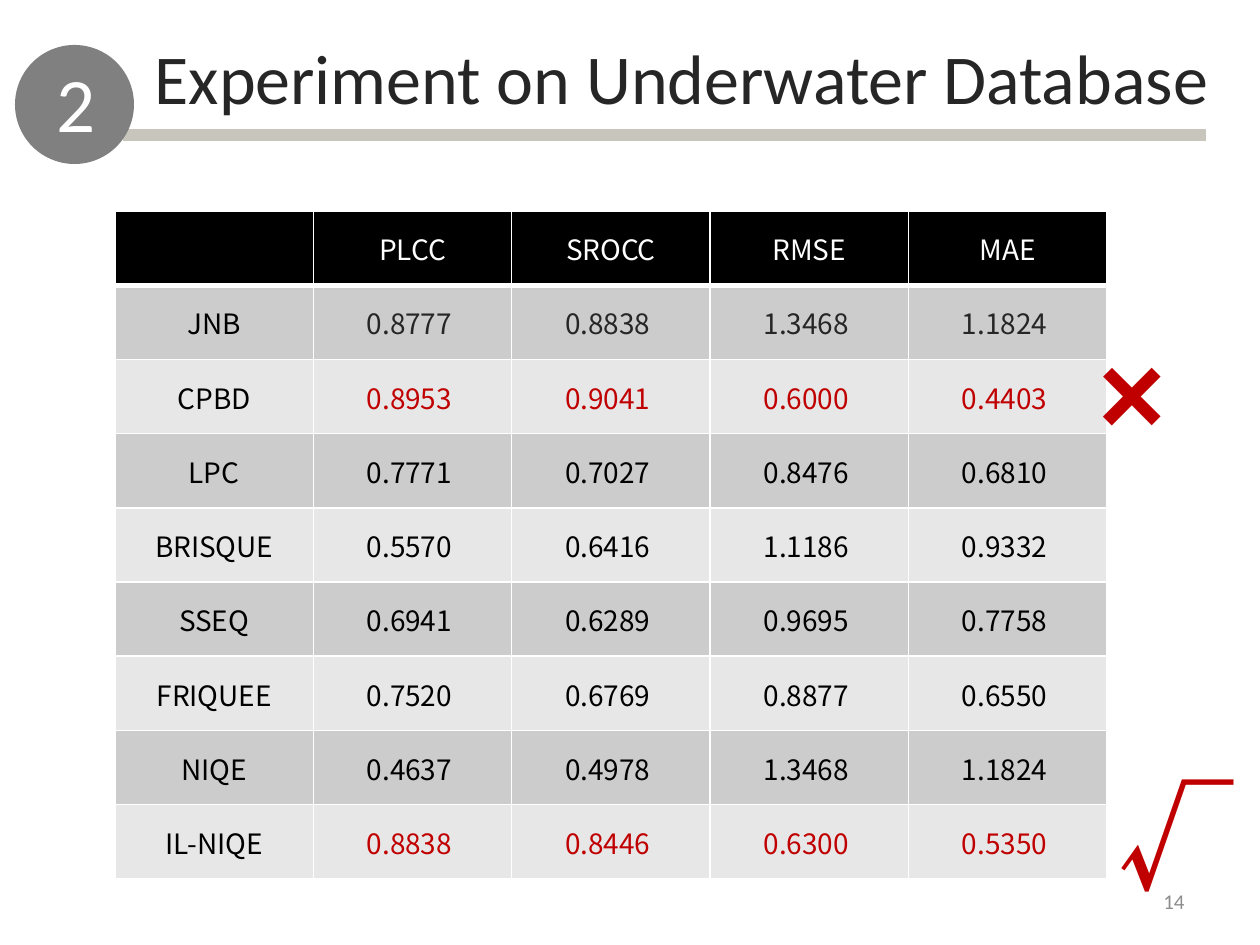
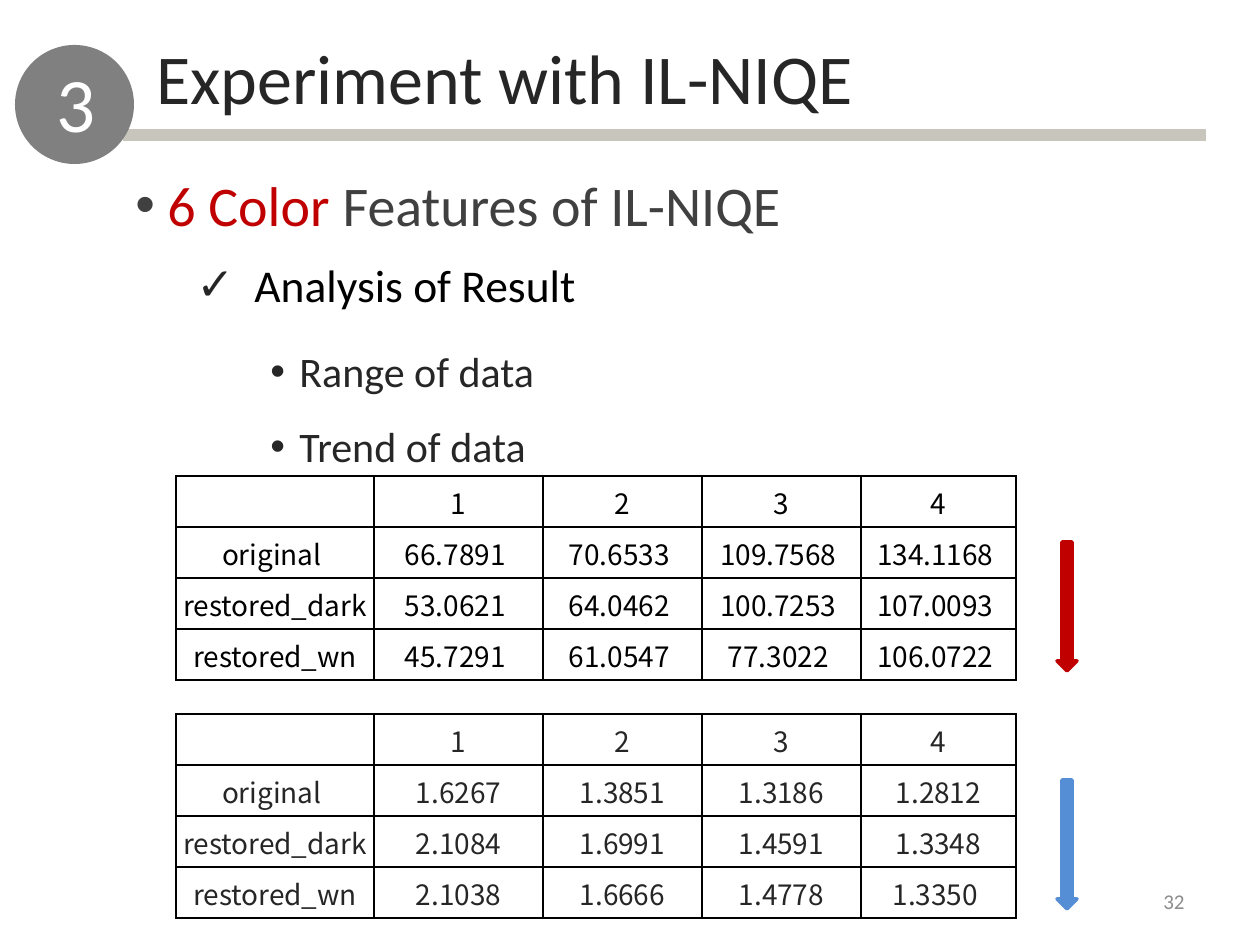
from dataclasses import dataclass

from lxml.etree import SubElement
from pptx import Presentation
from pptx.dml.color import RGBColor as Color
from pptx.enum.shapes import MSO_CONNECTOR as Connector, MSO_SHAPE as Preset
from pptx.enum.text import MSO_ANCHOR as Anchor, PP_ALIGN as Align
from pptx.oxml.ns import qn
from pptx.util import Emu, Pt


@dataclass(frozen=True)
class Theme:
    white: str = "FFFFFF"
    black: str = "000000"
    dark: str = "262626"
    charcoal: str = "404040"
    gray: str = "808080"
    page_gray: str = "8C8C8C"
    rule: str = "C8C5BC"
    red: str = "C00000"
    blue: str = "558ED5"
    bands: tuple = ("E7E7E7", "CCCCCC")
    body: str = "Calibri"
    symbol: str = "Arial"
    grid: str = "Noto Sans CJK SC"
    badge_size: int = 44
    title_size: int = 40
    topic_size: int = 32
    check_size: int = 26
    point_size: int = 24
    page_size: int = 12
    cell_size: int = 16
    mark_size: int = 66


THEME = Theme()
EMU_PER_PX = 914400 / 126

METRICS = """|PLCC|SROCC|RMSE|MAE
JNB|0.8777 |0.8838 |1.3468 |1.1824 
CPBD|0.8953 |0.9041 |0.6000 |0.4403 
LPC|0.7771 |0.7027 |0.8476 |0.6810 
BRISQUE|0.5570 |0.6416 |1.1186 |0.9332 
SSEQ|0.6941 |0.6289 |0.9695 |0.7758 
FRIQUEE|0.7520 |0.6769 |0.8877 |0.6550 
NIQE|0.4637 |0.4978 |1.3468 |1.1824 
IL-NIQE|0.8838 |0.8446 |0.6300 |0.5350 """

RANGE_DATA = """|1|2|3|4
original |66.7891 |70.6533 |109.7568 |134.1168 
restored_dark|53.0621 |64.0462 |100.7253 |107.0093 
restored_wn|45.7291 |61.0547 |77.3022 |106.0722 """

TREND_DATA = """|1|2|3|4
original |1.6267|1.3851|1.3186|1.2812
restored_dark|2.1084|1.6991|1.4591|1.3348
restored_wn|2.1038|1.6666|1.4778|1.3350 """


def px(length):
    return Emu(round(length * EMU_PER_PX))


def box(*lengths):
    return [px(length) for length in lengths]


def apply_format(target, values):
    for name, value in values.items():
        setattr(target, name, value)


def add_run(paragraph, text, size, color, name=THEME.body, bold=False):
    run = paragraph.add_run()
    run.text = text
    apply_format(run.font, {"size": Pt(size), "name": name, "bold": bold})
    run.font.color.rgb = Color.from_string(color)
    SubElement(run.font._element, qn("a:ea"), typeface=name)


def add_text_box(slide, place, anchor=Anchor.TOP):
    frame = slide.shapes.add_textbox(*box(*place)).text_frame
    apply_format(frame, {"word_wrap": True, "vertical_anchor": anchor})
    return frame


def add_label(slide, place, text, size, color, name=THEME.body, bold=False,
              align=Align.LEFT, anchor=Anchor.TOP):
    paragraph = add_text_box(slide, place, anchor).paragraphs[0]
    paragraph.alignment = align
    add_run(paragraph, text, size, color, name, bold)


def set_bullet(paragraph, character, color, indent):
    properties = paragraph._p.get_or_add_pPr()
    properties.set("marL", str(px(indent)))
    properties.set("indent", str(-px(indent)))
    bullet_color = SubElement(properties, qn("a:buClr"))
    SubElement(bullet_color, qn("a:srgbClr"), val=color)
    SubElement(properties, qn("a:buFont"), typeface=THEME.symbol)
    SubElement(properties, qn("a:buChar"), char=character)


def add_bullets(slide, place, items, size, bullet, bullet_color, indent, spacing):
    frame = add_text_box(slide, place)
    for index, runs in enumerate(items):
        paragraph = frame.add_paragraph() if index else frame.paragraphs[0]
        paragraph.line_spacing = spacing
        set_bullet(paragraph, bullet, bullet_color, indent)
        for text, color in runs:
            add_run(paragraph, text, size, color)


def add_preset(slide, preset, place, color, outline=0):
    shape = slide.shapes.add_shape(preset, *box(*place))
    shape.shadow.inherit = False
    shape.fill.solid()
    shape.fill.fore_color.rgb = Color.from_string(color)
    if outline:
        shape.line.color.rgb = Color.from_string(color)
        shape.line.width = Pt(outline)
    else:
        shape.line.fill.background()


def add_rule(slide, left, right, top):
    line = slide.shapes.add_connector(Connector.STRAIGHT, *box(left, top, right, top))
    line.line.color.rgb = Color.from_string(THEME.rule)
    line.line.width = Pt(7)
    SubElement(line._element.spPr, qn("a:effectLst"))


def set_borders(cell, color, widths):
    properties = cell._tc.get_or_add_tcPr()
    for side, width in zip("LRTB", widths):
        border = SubElement(properties, qn(f"a:ln{side}"), w=str(Pt(width)))
        fill = SubElement(border, qn("a:solidFill"))
        SubElement(fill, qn("a:srgbClr"), val=color)


def fill_cell(cell, text, text_color, fill_color, border_color, widths):
    apply_format(cell, {
        "vertical_anchor": Anchor.MIDDLE, "margin_left": px(1),
        "margin_right": px(1), "margin_top": px(1), "margin_bottom": 0})
    set_borders(cell, border_color, widths)
    if fill_color:
        cell.fill.solid()
        cell.fill.fore_color.rgb = Color.from_string(fill_color)
    else:
        cell.fill.background()
    if text:
        paragraph = cell.text_frame.paragraphs[0]
        paragraph.alignment = Align.CENTER
        add_run(paragraph, text, THEME.cell_size, text_color, THEME.grid)


def add_grid(slide, place, data, weights, style):
    rows = [line.split("|") for line in data.split("\n")]
    table = slide.shapes.add_table(len(rows), len(weights), *box(*place)).table
    apply_format(table, {"first_row": False, "horz_banding": False})
    for column, weight in zip(table.columns, weights):
        column.width = px(place[2] * weight / sum(weights))
    for row_index, values in enumerate(rows):
        table.rows[row_index].height = px(place[3] / len(rows))
        for column_index, text in enumerate(values):
            fill_cell(table.cell(row_index, column_index), text,
                      *style(row_index, column_index))


def metric_style(row, column):
    if row == 0:
        return THEME.white, THEME.black, THEME.white, (1, 1, 1, 3)
    value_colors = {1: THEME.dark, 2: THEME.red, 8: THEME.red}
    color = value_colors.get(row, THEME.black) if column else THEME.black
    return color, THEME.bands[row % 2], THEME.white, (1, 1, 3 if row == 1 else 1, 1)


def outline_style(color):
    return lambda row, column: (color, None, THEME.black, (1, 1, 1, 1))


def add_section_slide(presentation, number, title, title_place, page, align=Align.LEFT):
    slide = presentation.slides.add_slide(presentation.slide_layouts[6])
    add_rule(slide, 123, 1206, 135)
    add_preset(slide, Preset.OVAL, (15, 45, 119, 119), THEME.gray)
    add_label(slide, (44, 49, 90, 106), number, THEME.badge_size, THEME.white)
    add_label(slide, title_place, title, THEME.title_size, THEME.dark, align=align)
    add_label(slide, (903, 876, 294, 50), page, THEME.page_size, THEME.page_gray,
              align=Align.RIGHT, anchor=Anchor.MIDDLE)
    return slide


def build_database_slide(presentation):
    slide = add_section_slide(presentation, "2", "Experiment on Underwater Database",
                              (118, 28, 1127, 97), "14", Align.CENTER)
    add_grid(slide, (115, 211, 992, 668), METRICS, [1] * 5, metric_style)
    add_label(slide, (1086, 314, 118, 151), "×", THEME.mark_size, THEME.red,
              THEME.symbol, True)
    add_label(slide, (1106, 760, 115, 152), "√", THEME.mark_size, THEME.red,
              THEME.grid, True)


def build_color_slide(presentation):
    slide = add_section_slide(presentation, "3", "Experiment with IL-NIQE",
                              (144, 28, 748, 97), "32")
    add_bullets(slide, (123, 164, 1096, 81),
                [[("6 Color", THEME.red), (" Features of IL-NIQE", THEME.charcoal)]],
                THEME.topic_size, "•", THEME.charcoal, 32, 1)
    add_bullets(slide, (184, 224, 927, 96), [[("Analysis of Result", THEME.black)]],
                THEME.check_size, "✓", THEME.dark, 58, 1.5)
    add_bullets(slide, (258, 314, 927, 165),
                [[("Range of data", THEME.dark)], [("Trend of data", THEME.dark)]],
                THEME.point_size, "•", THEME.dark, 29, 1.5)
    blocks = [(476, RANGE_DATA, THEME.black, THEME.red),
              (714, TREND_DATA, THEME.dark, THEME.blue)]
    for top, data, text_color, arrow_color in blocks:
        add_grid(slide, (176, top, 840, 204), data, (198, 169, 159, 159, 155),
                 outline_style(text_color))
        add_preset(slide, Preset.DOWN_ARROW, (1057, top + 66, 20, 129), arrow_color, 2)


def main():
    presentation = Presentation()
    apply_format(presentation, {"slide_width": px(1260), "slide_height": px(945)})
    build_database_slide(presentation)
    build_color_slide(presentation)
    presentation.save("out.pptx")


if __name__ == "__main__":
    main()
